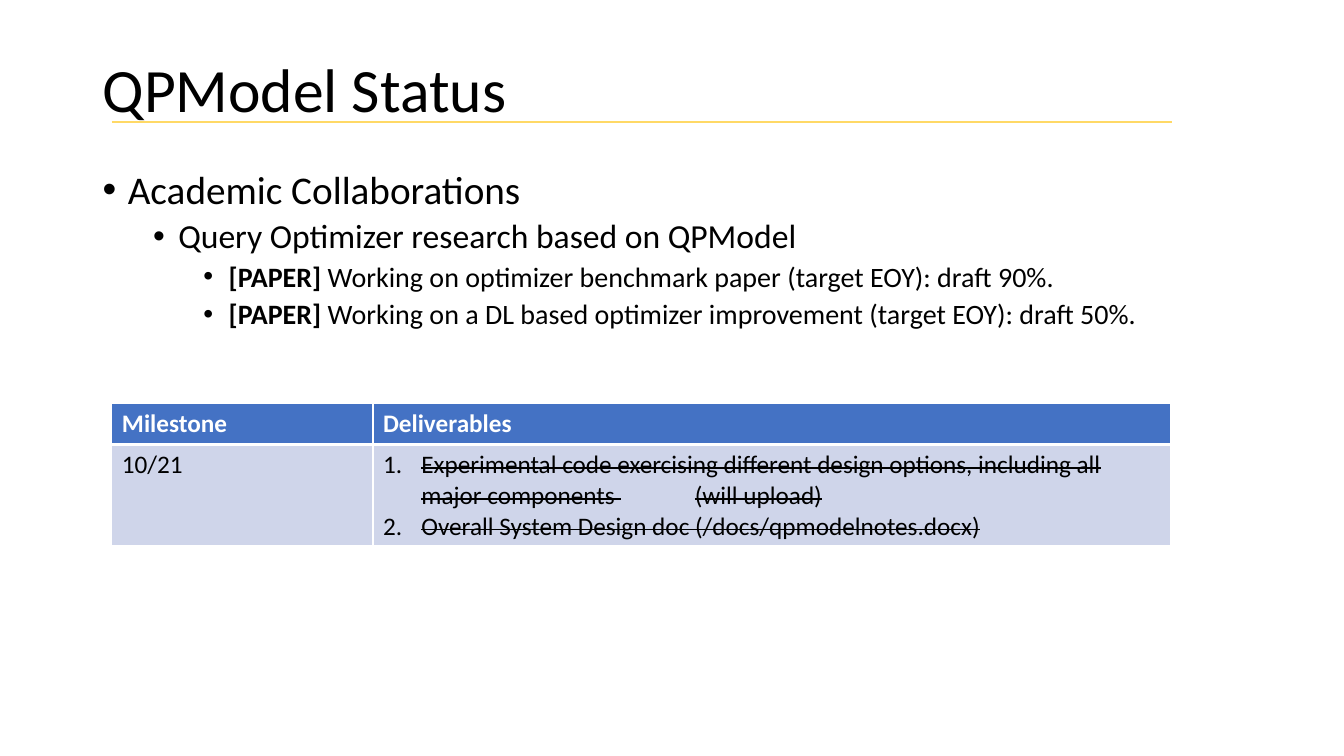
import lxml.etree
import pptx
import pptx.dml.color
import pptx.enum.shapes
import pptx.enum.text
import pptx.oxml.ns
import pptx.util

Inches, Pt = pptx.util.Inches, pptx.util.Pt
RGB = pptx.dml.color.RGBColor.from_string
qn = pptx.oxml.ns.qn

theme = {
    "font": "Calibri",
    "text": "000000", "white": "FFFFFF", "rule": "FFD966",
    "header": "4472C4", "body": "CFD5EA",
    "title_size": 44, "level_sizes": [28, 24, 20], "table_size": 18,
}


def add_run(p, text, size, color="text", **formats):
    r = p.add_run()
    r.text = text
    r.font.color.rgb = RGB(theme[color])
    for name, value in {"name": theme["font"], "size": Pt(size), **formats}.items():
        setattr(r.font, name, value)
    return r


def add_bullet(p, left, hanging, tag, **attributes):
    pPr = p._p.get_or_add_pPr()
    pPr.set("marL", str(Inches(left)))
    pPr.set("indent", str(-Inches(hanging)))
    lxml.etree.SubElement(pPr, qn("a:buFont"), typeface="Arial" if tag == "a:buChar" else "+mj-lt")
    lxml.etree.SubElement(pPr, qn(tag), **attributes)


prs = pptx.Presentation()
prs.slide_width, prs.slide_height = Inches(13.33), Inches(7.5)
s = prs.slides.add_slide(prs.slide_layouts[6])

title = s.shapes.add_textbox(Inches(0.92), Inches(0.19), Inches(11.5), Inches(1.45))
tf = title.text_frame
tf.word_wrap = True
tf.vertical_anchor = pptx.enum.text.MSO_ANCHOR.MIDDLE
p = tf.paragraphs[0]
p.line_spacing = 0.9
add_run(p, "QPModel Status", theme["title_size"])

outline = [
    (0, "", "Academic Collaborations"),
    (1, "", "Query Optimizer research based on QPModel"),
    (2, "[PAPER] ", "Working on optimizer benchmark paper (target EOY): draft 90%."),
    (2, "[PAPER] ", "Working on a DL based optimizer improvement (target EOY): draft 50%."),
]
body = s.shapes.add_textbox(Inches(0.92), Inches(1.64), Inches(12.04), Inches(5.75))
tf = body.text_frame
tf.word_wrap = True
for i, (level, label, text) in enumerate(outline):
    p = tf.add_paragraph() if i else tf.paragraphs[0]
    p.level = level
    p.line_spacing = 0.9
    p.space_before = Pt(5 if level else 10)
    add_bullet(p, 0.25 + 0.5 * level, 0.25, "a:buChar", char="•")
    size = theme["level_sizes"][level]
    if label:
        add_run(p, label, size, bold=True)
    add_run(p, text, size)

rule = s.shapes.add_connector(pptx.enum.shapes.MSO_CONNECTOR.STRAIGHT,
                              Inches(1.11), Inches(1.21), Inches(11.62), Inches(1.21))
rule.line.color.rgb = RGB(theme["rule"])
rule.line.width = Pt(1.25)
lxml.etree.SubElement(rule._element.spPr, qn("a:effectLst"))

column_widths, row_heights = [2.59, 7.91], [0.41, 1]
table = s.shapes.add_table(2, 2, Inches(1.11), Inches(4), Inches(sum(column_widths)),
                           Inches(sum(row_heights))).table
for column, width in zip(table.columns, column_widths):
    column.width = Inches(width)
for row, height in zip(table.rows, row_heights):
    row.height = Inches(height)

row_styles = [
    ("header", {"L": 1, "R": 1, "T": 1, "B": 3}),
    ("body", {"L": 1, "R": 1, "T": 3, "B": 1}),
]
for row, (fill, borders) in zip(table.rows, row_styles):
    for cell in row.cells:
        tcPr = cell._tc.get_or_add_tcPr()
        for side, width in borders.items():
            ln = lxml.etree.SubElement(tcPr, qn("a:ln" + side), w=str(Pt(width)))
            solid = lxml.etree.SubElement(ln, qn("a:solidFill"))
            lxml.etree.SubElement(solid, qn("a:srgbClr"), val=theme["white"])
        cell.fill.solid()
        cell.fill.fore_color.rgb = RGB(theme[fill])

for column, heading in enumerate(["Milestone", "Deliverables"]):
    p = table.cell(0, column).text_frame.paragraphs[0]
    add_run(p, heading, theme["table_size"], "white", bold=True)
add_run(table.cell(1, 0).text_frame.paragraphs[0], "10/21", theme["table_size"], bold=False)

deliverables = [
    ["Experimental code exercising different design options, including all major components",
     " ", "(will upload)"],
    ["Overall System Design doc (/docs/qpmodelnotes.docx)"],
]
tf = table.cell(1, 1).text_frame
for i, parts in enumerate(deliverables):
    p = tf.add_paragraph() if i else tf.paragraphs[0]
    add_bullet(p, 0.38, 0.38, "a:buAutoNum", type="arabicPeriod")
    for part in parts:
        r = add_run(p, part, theme["table_size"], bold=False)
        rPr = r._r.get_or_add_rPr()
        rPr.set("strike", "sngStrike")
        if part == " ":
            rPr.set("spc", "5300")

prs.save("out.pptx")
